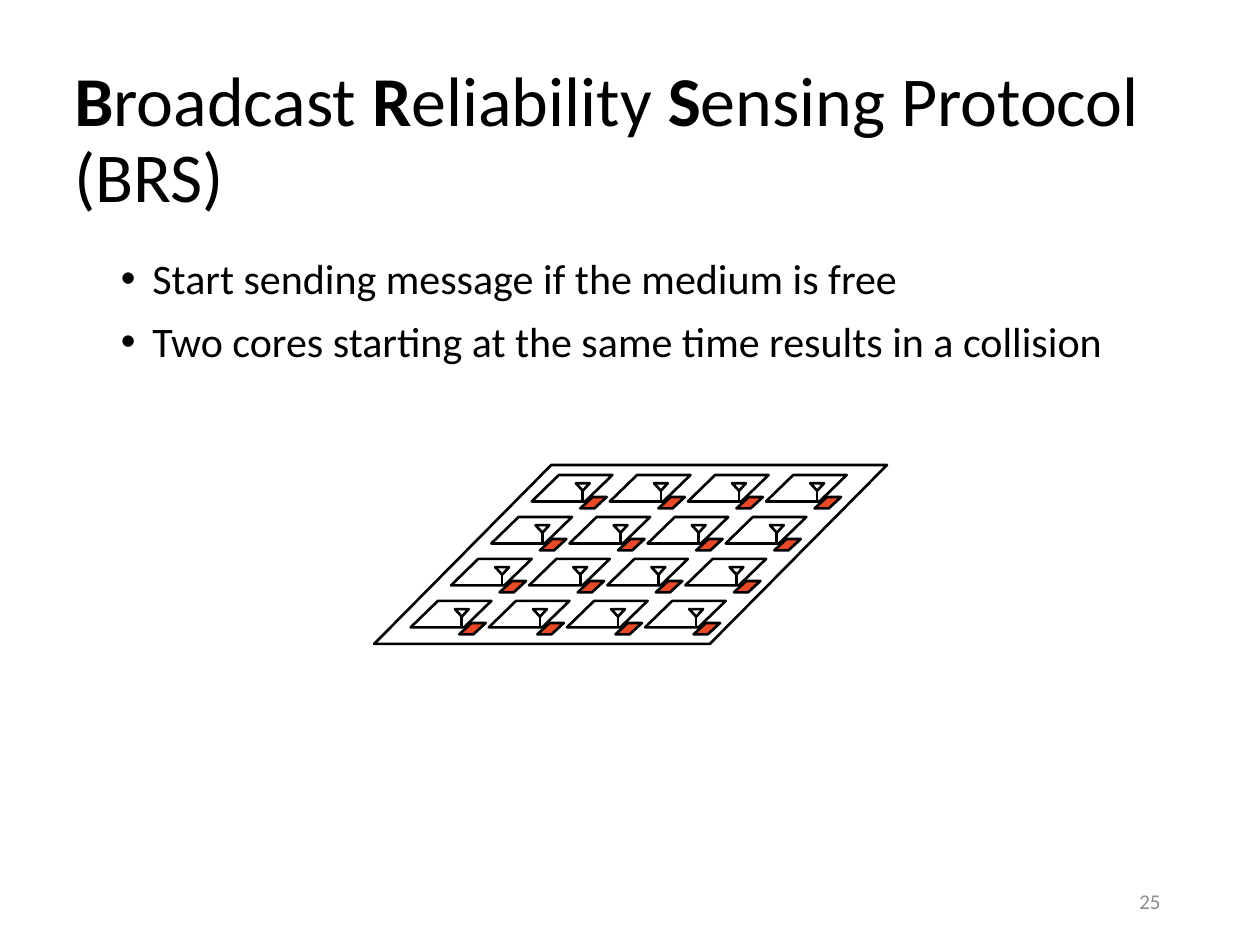
import itertools

import pptx
import pptx.dml.color
import pptx.enum.shapes
import pptx.enum.text
import pptx.oxml.ns
import pptx.util
from lxml import etree

COLOURS = {"ink": "000000", "paper": "FFFFFF", "chip": "E84A27", "number": "8C8C8C"}
SLIDE_WIDTH = pptx.util.Inches(10)
SLIDE_HEIGHT = pptx.util.Inches(7.5)
GRID_COLUMNS = 100
UNIT = SLIDE_WIDTH / GRID_COLUMNS
CORES_PER_SIDE = 4
SHAPES = pptx.enum.shapes.MSO_SHAPE
ALIGN = pptx.enum.text.PP_ALIGN
ANCHOR = pptx.enum.text.MSO_ANCHOR


def colour(name):
    """Return the named colour as an RGB value."""
    return pptx.dml.color.RGBColor.from_string(COLOURS[name])


def lengths(values):
    """Turn grid columns and rows into slide lengths."""
    return [pptx.util.Emu(round(value * UNIT)) for value in values]


def set_attributes(target, formats):
    """Set each format value on the target."""
    for name, value in formats.items():
        setattr(target, name, value)


def format_font(font, size, ink="ink"):
    """Give a font the slide's typeface, a size and a colour."""
    set_attributes(font, {"name": "Calibri", "size": pptx.util.Pt(size)})
    font.color.rgb = colour(ink)


def place_text(shape, box, anchor):
    """Place a text shape in its box and return its text frame."""
    names = ("left", "top", "width", "height")
    set_attributes(shape, dict(zip(names, lengths(box))))
    frame = shape.text_frame
    set_attributes(frame, {
        "word_wrap": True,
        "auto_size": pptx.enum.text.MSO_AUTO_SIZE.NONE,
        "vertical_anchor": anchor,
    })
    return frame


def add_title(slide, box, parts):
    """Fill the title with alternating bold and plain parts."""
    paragraph = place_text(slide.shapes.title, box, ANCHOR.MIDDLE).paragraphs[0]
    set_attributes(paragraph, {"alignment": ALIGN.LEFT, "line_spacing": 0.9})
    for text, bold in parts:
        run = paragraph.add_run()
        run.text = text
        format_font(run.font, 40)
        run.font.bold = bold


def add_list(slide, box, items):
    """Fill the body placeholder with bulleted items."""
    frame = place_text(slide.placeholders[1], box, ANCHOR.TOP)
    frame.text = "\n".join(items)
    indent = pptx.util.Inches(0.25)
    for index, paragraph in enumerate(frame.paragraphs):
        set_attributes(paragraph, {
            "line_spacing": 0.9,
            "space_before": pptx.util.Pt(10 if index else 0),
        })
        properties = paragraph._p.get_or_add_pPr()
        properties.set("marL", str(indent))
        properties.set("indent", str(-indent))
        bullet = etree.SubElement(properties, pptx.oxml.ns.qn("a:buChar"))
        bullet.set("char", "•")
        format_font(paragraph.font, 24)


def add_page_number(slide, box, number):
    """Write the page number at the right of its box."""
    shape = slide.shapes.add_textbox(*lengths(box))
    paragraph = place_text(shape, box, ANCHOR.MIDDLE).paragraphs[0]
    paragraph.alignment = ALIGN.RIGHT
    run = paragraph.add_run()
    run.text = number
    format_font(run.font, 12, "number")


def outline(shape):
    """Give a shape or connector the diagram's outline."""
    shape.line.color.rgb = colour("ink")
    shape.line.width = pptx.util.Pt(1.5)


def add_outlined(group, preset, box, fill="paper", slant=None):
    """Add a filled preset shape to the group."""
    shape = group.shapes.add_shape(preset, *lengths(box))
    shape.shadow.inherit = False
    shape.fill.solid()
    shape.fill.fore_color.rgb = colour(fill)
    outline(shape)
    if slant is not None:
        shape.adjustments[0] = slant
    return shape


def add_core(group, left, top):
    """Draw a core tile with its transceiver chip."""
    add_outlined(group, SHAPES.PARALLELOGRAM, (left, top, 6.4, 2.1), slant=1.03)
    chip_box = (left + 3.85, top + 1.75, 2.1, 0.9)
    add_outlined(group, SHAPES.PARALLELOGRAM, chip_box, "chip", 1.08)


def add_antenna(group, left, top):
    """Draw the antenna of the core at the given corner."""
    mast_x = left + 4.05
    ends = lengths((mast_x, top + 2, mast_x, top + 1.28))
    mast = group.shapes.add_connector(
        pptx.enum.shapes.MSO_CONNECTOR.STRAIGHT, *ends)
    outline(mast)
    etree.SubElement(mast._element.spPr, pptx.oxml.ns.qn("a:effectLst"))
    head_box = (mast_x - 0.55, top + 0.65, 1.1, 0.6)
    add_outlined(group, SHAPES.ISOSCELES_TRIANGLE, head_box).rotation = 180


def add_core_array(slide, box):
    """Draw the slanted plate of wireless cores in its box."""
    group = slide.shapes.add_group_shape()
    left, top, width, height = box
    add_outlined(group, SHAPES.PARALLELOGRAM, box, slant=0.99)
    column_step, row_step, row_shift = 6.2, 3.33, 3.2
    corners = [
        (left + 12.5 + column * column_step - row * row_shift,
         top + 0.8 + row * row_step)
        for row, column in itertools.product(range(CORES_PER_SIDE), repeat=2)
    ]
    for draw in (add_core, add_antenna):
        for corner in corners:
            draw(group, *corner)


def main():
    """Build and save the protocol slide."""
    presentation = pptx.Presentation()
    set_attributes(presentation, {
        "slide_width": SLIDE_WIDTH,
        "slide_height": SLIDE_HEIGHT,
    })
    slide = presentation.slides.add_slide(presentation.slide_layouts[1])
    add_page_number(slide, (70.6, 69.5, 22.5, 4), "25")
    add_core_array(slide, (29.7, 36.9, 40.7, 14.2))
    add_list(slide, (8.6, 20, 86.2, 8.8), (
        "Start sending message if the medium is free",
        "Two cores starting at the same time results in a collision",
    ))
    add_title(slide, (4.9, 4, 88.2, 14.5), (
        ("B", True), ("roadcast ", False),
        ("R", True), ("eliability ", False),
        ("S", True), ("ensing Protocol (BRS)", False),
    ))
    presentation.save("out.pptx")


if __name__ == "__main__":
    main()
